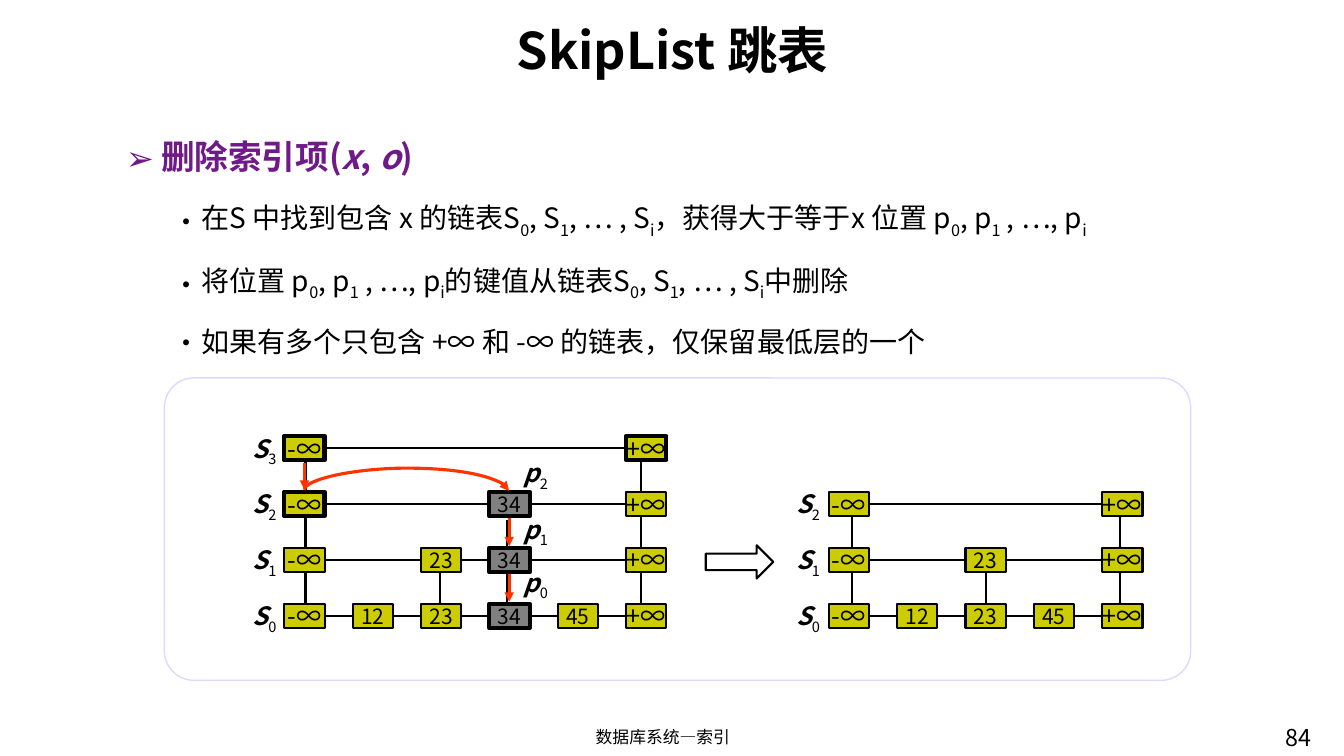
from dataclasses import dataclass

from lxml.etree import SubElement
from pptx import Presentation
from pptx.dml.color import RGBColor
from pptx.enum.shapes import MSO_CONNECTOR as Connector, MSO_SHAPE as Shape
from pptx.enum.text import MSO_ANCHOR as Anchor, MSO_AUTO_SIZE as AutoSize, PP_ALIGN as Align
from pptx.oxml.ns import qn
from pptx.util import Inches, Pt


@dataclass
class Theme:
    font: str = "Noto Sans CJK SC"
    black: str = "000000"
    white: str = "FFFFFF"
    purple: str = "701988"
    lavender: str = "DDD9FF"
    olive: str = "CCCC00"
    gray: str = "808080"
    red: str = "FF3300"
    title: float = 36
    heading: float = 24
    body: float = 20
    label: float = 18
    number: float = 15
    page: float = 16.6
    footer: float = 12


theme = Theme()


def write(paragraph, text, size, color=theme.black, bold=False, italic=False, marked="sub"):
    for index, part in enumerate(text.split("|")):
        if not part:
            continue
        run = paragraph.add_run()
        run.text = part
        font = run.font
        font.name, font.size = theme.font, Pt(size)
        font.color.rgb = RGBColor.from_string(color)
        special = index % 2 == 1
        subscript = special and marked == "sub"
        font.bold = bold and not subscript
        font.italic = (special and marked == "italic") or (italic and not special)
        properties = font._element
        if subscript:
            properties.set("baseline", "-25000")
        SubElement(properties, qn("a:ea")).set("typeface", theme.font)


def link(start, end, color=theme.black, width=1.5, arrow=False, kind=Connector.STRAIGHT):
    points = [Inches(value) for value in (*start, *end)]
    connector = slide.shapes.add_connector(kind, *points)
    connector.line.color.rgb = RGBColor.from_string(color)
    connector.line.width = Pt(width)
    if arrow:
        SubElement(connector.line._get_or_add_ln(), qn("a:tailEnd")).set("type", "triangle")
    SubElement(connector._element.spPr, qn("a:effectLst"))
    return connector


presentation = Presentation()
presentation.slide_width, presentation.slide_height = Inches(13.33), Inches(7.5)
slide = presentation.slides.add_slide(presentation.slide_layouts[6])

panel = slide.shapes.add_shape(Shape.ROUNDED_RECTANGLE, Inches(1.63), Inches(3.75), Inches(10.18), Inches(3))
panel.adjustments[0] = 0.098
panel.shadow.inherit = False
panel.fill.solid()
panel.fill.fore_color.rgb = RGBColor.from_string(theme.white)
panel.line.color.rgb = RGBColor.from_string(theme.lavender)
panel.line.width = Pt(1)

captions = [
    ("SkipList 跳表", 1.15, 0.12, 11.04, 0.74, theme.title, Align.CENTER, Anchor.MIDDLE),
    ("数据库系统—索引", 4.47, 7.16, 4.21, 0.34, theme.footer, Align.CENTER, Anchor.TOP),
    ("84", 12.65, 7.13, 0.84, 0.52, theme.page, Align.LEFT, Anchor.TOP),
]
for text, left, top, width, height, size, align, anchor in captions:
    caption = slide.shapes.add_textbox(Inches(left), Inches(top), Inches(width), Inches(height))
    caption.text_frame.word_wrap = True
    caption.text_frame.vertical_anchor = anchor
    paragraph = caption.text_frame.paragraphs[0]
    paragraph.alignment = align
    write(paragraph, text, size, bold=size == theme.title)

body = slide.shapes.add_textbox(Inches(1.15), Inches(1.3), Inches(13.11), Inches(5.47))
body.text_frame.word_wrap = True
bullets = [
    "删除索引项(|x|, |o|)",
    "在S 中找到包含 x 的链表S|0|, S|1|, … , S|i|，获得大于等于x 位置 p|0|, p|1| , …, p|i|",
    "将位置 p|0|, p|1| , …, p|i|的键值从链表S|0|, S|1|, … , S|i|中删除",
    "如果有多个只包含 +∞ 和 -∞ 的链表，仅保留最低层的一个",
]
for index, text in enumerate(bullets):
    is_heading = index == 0
    paragraph = body.text_frame.paragraphs[0] if is_heading else body.text_frame.add_paragraph()
    margin, indent, symbol = (0.35, -0.35, "➢") if is_heading else (0.75, -0.29, "•")
    if not is_heading:
        paragraph.level = 1
        paragraph.line_spacing = 1.5
        paragraph.space_before = Pt(4)
    properties = paragraph._p.get_or_add_pPr()
    properties.set("marL", str(Inches(margin)))
    properties.set("indent", str(Inches(indent)))
    SubElement(properties, qn("a:buFont")).set("typeface", theme.font)
    SubElement(properties, qn("a:buChar")).set("char", symbol)
    if is_heading:
        write(paragraph, text, theme.heading, theme.purple, bold=True, marked="italic")
    else:
        write(paragraph, text, theme.body)

node_width, node_height = 0.4, 0.24
column_step, row_step, base_top = 0.678, 0.555, 5.99

towers = [(3.03, 4.58), (5.03, 5.16), (4.36, 5.66), (6.36, 4.58), (8.45, 5.08), (9.78, 5.66), (11.11, 5.08)]
for x, top in towers:
    link((x, top), (x, base_top))

skip_lists = [
    (2.82, 2.4, 5, [
        {0: "-∞", 1: "12", 2: "23", 3: "34", 4: "45", 5: "+∞"},
        {0: "-∞", 2: "23", 3: "34", 5: "+∞"},
        {0: "-∞", 3: "34", 5: "+∞"},
        {0: "-∞", 5: "+∞"},
    ], {(2, 0), (3, 0), (3, 5)}),
    (8.22, 7.79, 4, [
        {0: "-∞", 1: "12", 2: "23", 3: "45", 4: "+∞"},
        {0: "-∞", 2: "23", 4: "+∞"},
        {0: "-∞", 4: "+∞"},
    ], set()),
]
labels = [("p|0|", 5.08, 5.58, 0.47), ("p|1|", 5.08, 5.05, 0.47), ("p|2|", 5.08, 4.49, 0.47)]
for origin, label_left, last_column, levels, thick_nodes in skip_lists:
    for level, nodes in enumerate(levels):
        top = base_top - level * row_step
        middle = top + node_height / 2
        labels.append((f"S|{level}|", label_left, top - 0.08, 0.45))
        columns = list(nodes)
        for first, second in zip(columns, columns[1:]):
            link((origin + first * column_step + node_width, middle), (origin + second * column_step, middle))
        for column, value in nodes.items():
            deleted = value == "34"
            left = origin + column * column_step
            node = slide.shapes.add_shape(
                Shape.RECTANGLE, Inches(left), Inches(top), Inches(node_width), Inches(node_height))
            node.shadow.inherit = False
            node.fill.solid()
            node.fill.fore_color.rgb = RGBColor.from_string(theme.gray if deleted else theme.olive)
            node.line.color.rgb = RGBColor.from_string(theme.black)
            node.line.width = Pt(3 if deleted or (level, column) in thick_nodes else 1.5)
            frame = node.text_frame
            frame.word_wrap = False
            frame.vertical_anchor = Anchor.MIDDLE
            frame.paragraphs[0].alignment = Align.CENTER
            write(frame.paragraphs[0], value, theme.label if column in (0, last_column) else theme.number)

result_arrow = slide.shapes.add_shape(Shape.RIGHT_ARROW, Inches(7), Inches(5.41), Inches(0.67), Inches(0.33))
result_arrow.shadow.inherit = False
result_arrow.fill.background()
result_arrow.line.color.rgb = RGBColor.from_string(theme.black)
result_arrow.line.width = Pt(1.5)

search_jump = link((4.03, 5.88), (4.04, 3.85), theme.red, 2.25, True, Connector.CURVE)
search_jump._element.spPr.find(qn("a:xfrm")).set("rot", "5400000")
guides = search_jump._element.spPr.find(qn("a:prstGeom")).get_or_add_avLst()
guide = SubElement(guides, qn("a:gd"))
guide.set("name", "adj1")
guide.set("fmla", "val -2200000")

for x, top, bottom in [(3.02, 4.59, 4.86), (5.05, 5.14, 5.42), (5.05, 5.69, 5.97)]:
    link((x, top), (x, bottom), theme.red, 2.25, True)

for text, left, top, width in labels:
    label = slide.shapes.add_textbox(Inches(left), Inches(top), Inches(width), Inches(0.4))
    label.text_frame.word_wrap = False
    label.text_frame.auto_size = AutoSize.SHAPE_TO_FIT_TEXT
    label.text_frame.paragraphs[0].alignment = Align.CENTER
    write(label.text_frame.paragraphs[0], text, theme.label, bold=True, italic=True)

presentation.save("out.pptx")
